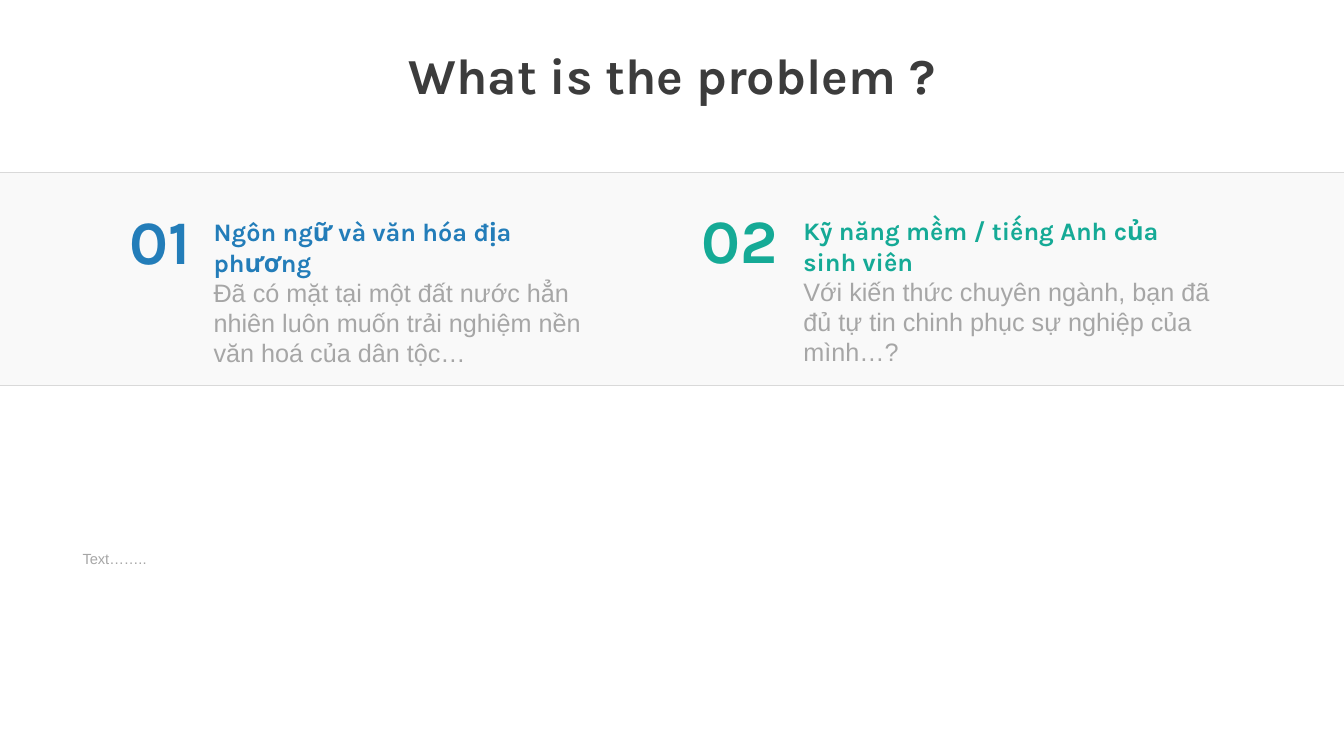
from lxml import etree
from pptx import Presentation
from pptx.dml.color import RGBColor
from pptx.enum.shapes import MSO_CONNECTOR, MSO_SHAPE
from pptx.enum.text import MSO_ANCHOR, MSO_AUTO_SIZE, PP_ALIGN
from pptx.oxml.ns import qn
from pptx.util import Inches, Pt

STRAIGHT = MSO_CONNECTOR.STRAIGHT
RECTANGLE = MSO_SHAPE.RECTANGLE
TOP, MIDDLE = MSO_ANCHOR.TOP, MSO_ANCHOR.MIDDLE
LEFT, CENTER, RIGHT = PP_ALIGN.LEFT, PP_ALIGN.CENTER, PP_ALIGN.RIGHT
NO_AUTOFIT = MSO_AUTO_SIZE.NONE

TITLE_ONLY_LAYOUT = 5
SLIDE_WIDTH, SLIDE_HEIGHT = 13.33, 7.5
BAND_TOP, BAND_HEIGHT = 1.71, 2.11
HEADING_FONT, BODY_FONT = "Karla", "Arial"
DARK, GRAY, BLUE, GREEN = "3C3C3C", "A6A6A6", "237DB9", "15AA96"

# number, number box, heading, description, text box, colour
PROBLEMS = [
    ("01", (0.99, 1.96, 1, 0.84), "Ngôn ngữ và văn hóa địa phương",
     "Đã có mặt tại một đất nước hẳn nhiên luôn muốn trải nghiệm nền văn hoá của dân tộc…",
     (2.02, 2.1, 3.86, 1.82), BLUE),
    ("02", (6.81, 1.95, 1, 0.84), "Kỹ năng mềm / tiếng Anh của sinh viên",
     "Với kiến thức chuyên ngành, bạn đã đủ tự tin chinh phục sự nghiệp của mình…?",
     (7.87, 2.09, 4.26, 1.82), GREEN),
]


def color(hex_value):
    return RGBColor.from_string(hex_value)


def format_paragraph(paragraph, size, font_name, hex_value, bold=False, align=LEFT):
    paragraph.alignment = align
    for run in paragraph.runs:
        run.font.size = Pt(size)
        run.font.name = font_name
        run.font.bold = bold
        run.font.color.rgb = color(hex_value)


def add_title(slide, text):
    title = slide.shapes.title
    title.left, title.top = Inches(3.25), Inches(0.54)
    title.width, title.height = Inches(6.83), Inches(0.56)
    frame = title.text_frame
    frame.text = text
    frame.auto_size = NO_AUTOFIT
    frame.vertical_anchor = TOP
    paragraph = frame.paragraphs[0]
    paragraph.line_spacing = Pt(32)
    paragraph.space_before = Pt(0)
    format_paragraph(paragraph, 36, HEADING_FONT, DARK, True, CENTER)


def add_text(slide, box, text, anchor=TOP):
    """Add a wrapping text box and return its paragraphs, one per line of text."""
    frame = slide.shapes.add_textbox(*map(Inches, box)).text_frame
    frame.word_wrap = True
    frame.vertical_anchor = anchor
    frame.text = text
    return frame.paragraphs


def add_problem(slide, number, number_box, heading, description, text_box, hex_value):
    title, body = add_text(slide, text_box, f"{heading}\n{description}")
    format_paragraph(title, 18, HEADING_FONT, hex_value, True)
    format_paragraph(body, 18, BODY_FONT, GRAY)
    label = add_text(slide, number_box, number)[0]
    format_paragraph(label, 44, HEADING_FONT, hex_value, True, RIGHT)


def add_band(slide):
    band = slide.shapes.add_shape(
        RECTANGLE, 0, Inches(BAND_TOP), Inches(SLIDE_WIDTH), Inches(BAND_HEIGHT))
    band.shadow.inherit = False
    band.line.fill.background()
    band.fill.solid()
    band.fill.fore_color.rgb = color("F2F2F2")
    fill_color = band.fill._xPr.find(qn("a:solidFill"))[0]
    etree.SubElement(fill_color, qn("a:alpha"), val="40000")


def add_rule(slide, top):
    """Draw a thin line across the whole slide."""
    rule = slide.shapes.add_connector(
        STRAIGHT, 0, Inches(top), Inches(SLIDE_WIDTH), Inches(top))
    rule.line.color.rgb = color("D9D9D9")
    rule.line.width = Pt(0.5)
    etree.SubElement(rule._element.spPr, qn("a:effectLst"))


def main():
    presentation = Presentation()
    presentation.slide_width = Inches(SLIDE_WIDTH)
    presentation.slide_height = Inches(SLIDE_HEIGHT)
    slide = presentation.slides.add_slide(presentation.slide_layouts[TITLE_ONLY_LAYOUT])

    add_band(slide)
    add_title(slide, "What is the problem ?")
    for problem in PROBLEMS:
        add_problem(slide, *problem)
    footer = add_text(slide, (0.72, 5.4, 12.02, 0.28), "Text……..", MIDDLE)[0]
    format_paragraph(footer, 10.5, BODY_FONT, GRAY)
    for top in (BAND_TOP, BAND_TOP + BAND_HEIGHT):
        add_rule(slide, top)

    presentation.save("out.pptx")


if __name__ == "__main__":
    main()
